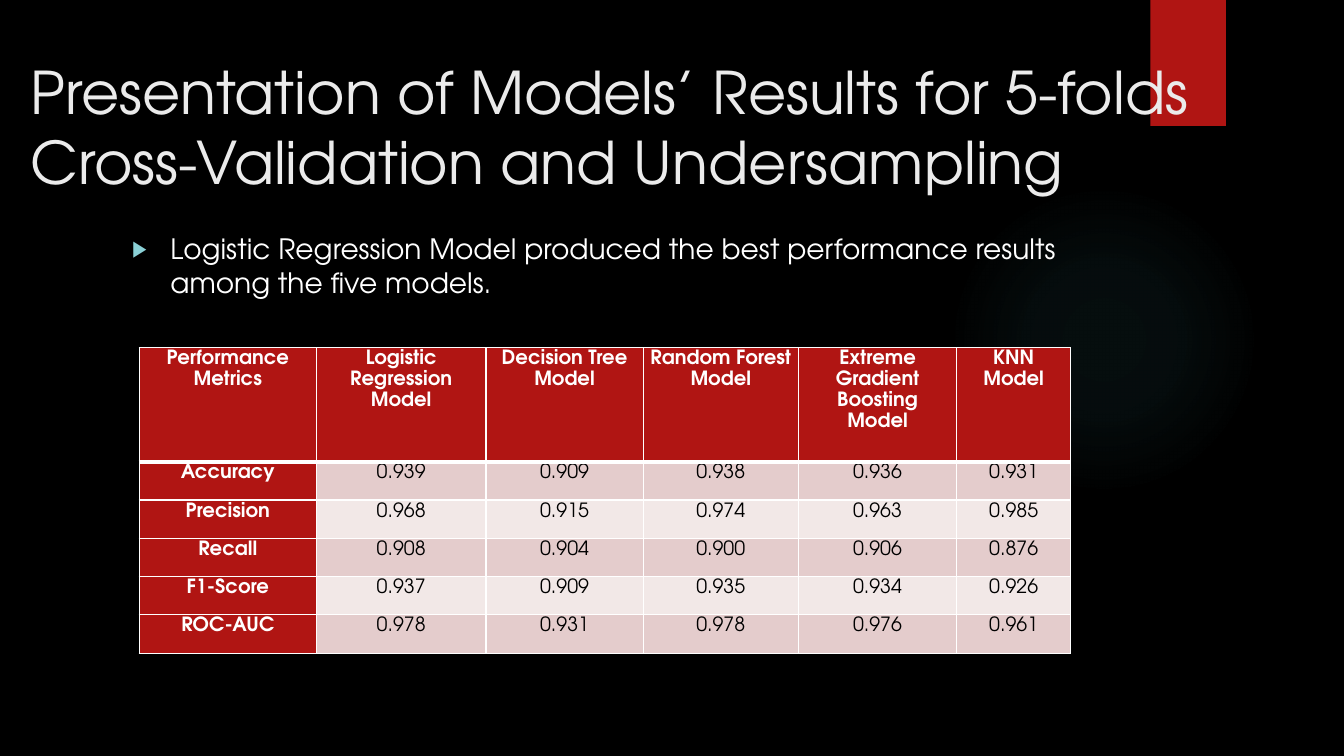
"""Build the slide of model results for cross-validation and undersampling."""
from lxml import etree
from pptx import Presentation
from pptx.dml.color import RGBColor
from pptx.enum.shapes import MSO_SHAPE
from pptx.enum.text import MSO_ANCHOR, MSO_AUTO_SIZE, PP_ALIGN
from pptx.oxml import parse_xml
from pptx.oxml.ns import qn
from pptx.util import Inches, Pt

LEFT, CENTER = PP_ALIGN.LEFT, PP_ALIGN.CENTER
TOP = MSO_ANCHOR.TOP
NO_FIT = MSO_AUTO_SIZE.NONE
OVAL, RECT = MSO_SHAPE.OVAL, MSO_SHAPE.RECTANGLE
FONT = "TeX Gyre Adventor"
NS = "http://schemas.openxmlformats.org/drawingml/2006/main"

COLORS = {
    "bg": "000000", "title": "EBEBEB", "white": "FFFFFF", "black": "000000",
    "red": "B01513", "glow": "50B9C1", "bullet": "8AD0D6",
    "odd": "E4CCCC", "even": "F2E8E7",
}
TITLE = "Presentation of Models’ Results for 5-folds Cross-Validation and Undersampling"
BODY = "Logistic Regression Model produced the best performance results among the five models."
ROWS = [
    ["Performance\nMetrics", "Logistic\nRegression Model", "Decision Tree Model",
     "Random Forest Model", "Extreme Gradient Boosting Model", "KNN\nModel"],
    ["Accuracy", "0.939", "0.909", "0.938", "0.936", "0.931"],
    ["Precision", "0.968", "0.915", "0.974", "0.963", "0.985"],
    ["Recall", "0.908", "0.904", "0.900", "0.906", "0.876"],
    ["F1-Score", "0.937", "0.909", "0.935", "0.934", "0.926"],
    ["ROC-AUC", "0.978", "0.931", "0.978", "0.976", "0.961"],
]
COL_WIDTHS = [1.76, 1.68, 1.56, 1.54, 1.57, 1.13]
HEADER_HEIGHT, ROW_HEIGHT = 1.13, 0.38
GLOW_STOPS = [(0, 7), (36, 6), (69, 0), (100, 0)]


def rgb(name):
    return RGBColor.from_string(COLORS[name])


def write(tf, text, size, color, bold=False, align=LEFT, spacing=1.0, before=0):
    for i, line in enumerate(text.split("\n")):
        p = tf.add_paragraph() if i else tf.paragraphs[0]
        p.alignment, p.line_spacing, p.space_before = align, spacing, Pt(before)
        r = p.add_run()
        r.text = line
        r.font.name, r.font.size, r.font.bold = FONT, Pt(size), bold
        r.font.color.rgb = rgb(color)


def place(sp, left, top, width, height):
    sp.left, sp.top = Inches(left), Inches(top)
    sp.width, sp.height = Inches(width), Inches(height)
    sp.text_frame.word_wrap = True
    sp.text_frame.auto_size = NO_FIT
    sp.text_frame.vertical_anchor = TOP


def add_decor(s, kind, left, top, width, height):
    sp = s.shapes.add_shape(kind, Inches(left), Inches(top), Inches(width), Inches(height))
    sp.shadow.inherit = False
    sp.fill.solid()
    sp.fill.fore_color.rgb = rgb("red")
    sp.line.fill.background()
    return sp


def make_glow(sp):
    stops = "".join(
        f'<a:gs pos="{pos * 1000}"><a:srgbClr val="{COLORS["glow"]}">'
        f'<a:alpha val="{alpha * 1000}"/></a:srgbClr></a:gs>' for pos, alpha in GLOW_STOPS)
    grad = parse_xml(
        f'<a:gradFill xmlns:a="{NS}"><a:gsLst>{stops}</a:gsLst><a:path path="circle">'
        '<a:fillToRect l="50000" t="50000" r="50000" b="50000"/></a:path></a:gradFill>')
    solid = sp.fill._xPr.find(qn("a:solidFill"))
    solid.getparent().replace(solid, grad)


def add_bullet(p):
    pPr = p._p.get_or_add_pPr()
    pPr.set("marL", str(Inches(0.38)))
    pPr.set("indent", str(-Inches(0.38)))
    color = etree.SubElement(pPr, qn("a:buClr"))
    etree.SubElement(color, qn("a:srgbClr"), val=COLORS["bullet"])
    etree.SubElement(pPr, qn("a:buSzPct"), val="80000")
    etree.SubElement(pPr, qn("a:buChar"), char="▶")


def set_borders(cell, top, bottom):
    tcPr = cell._tc.get_or_add_tcPr()
    for i, (side, width) in enumerate((("L", 1), ("R", 1), ("T", top), ("B", bottom))):
        tcPr.insert(i, parse_xml(
            f'<a:ln{side} xmlns:a="{NS}" w="{Pt(width)}"><a:solidFill>'
            f'<a:srgbClr val="{COLORS["white"]}"/></a:solidFill></a:ln{side}>'))


def add_results(s):
    height = HEADER_HEIGHT + ROW_HEIGHT * (len(ROWS) - 1)
    table = s.shapes.add_table(len(ROWS), len(COL_WIDTHS), Inches(1.38), Inches(3.45),
                               Inches(sum(COL_WIDTHS)), Inches(height)).table
    for col, width in zip(table.columns, COL_WIDTHS):
        col.width = Inches(width)
    for i, values in enumerate(ROWS):
        table.rows[i].height = Inches(ROW_HEIGHT if i else HEADER_HEIGHT)
        for j, value in enumerate(values):
            cell = table.cell(i, j)
            heading = i == 0 or j == 0
            cell.margin_left = cell.margin_right = Inches(0.07)
            cell.margin_top = cell.margin_bottom = 0
            cell.fill.solid()
            cell.fill.fore_color.rgb = rgb("red" if heading else "odd" if i % 2 else "even")
            write(cell.text_frame, value, 14, "white" if heading else "black",
                  bold=heading, align=CENTER, spacing=1.15)
            set_borders(cell, top=3 if i == 1 else 1, bottom=1 if i else 3)


def main():
    prs = Presentation()
    prs.slide_width, prs.slide_height = Inches(13.33), Inches(7.5)
    s = prs.slides.add_slide(prs.slide_layouts[1])
    s.background.fill.solid()
    s.background.fill.fore_color.rgb = rgb("bg")

    glow = add_decor(s, OVAL, 9.41, 1.83, 3.08, 3.08)
    make_glow(glow)
    ribbon = add_decor(s, RECT, 11.41, 0, 0.75, 1.25)
    title, body = s.placeholders
    for sp in (glow, ribbon):
        title._element.addprevious(sp._element)

    place(title, 0.2, 0.5, 11.84, 1.53)
    write(title.text_frame, TITLE, 42, "title")
    place(body, 1.21, 2.25, 9.78, 4.59)
    write(body.text_frame, BODY, 20, "white", before=10)
    add_bullet(body.text_frame.paragraphs[0])
    add_results(s)
    prs.save("out.pptx")


if __name__ == "__main__":
    main()
